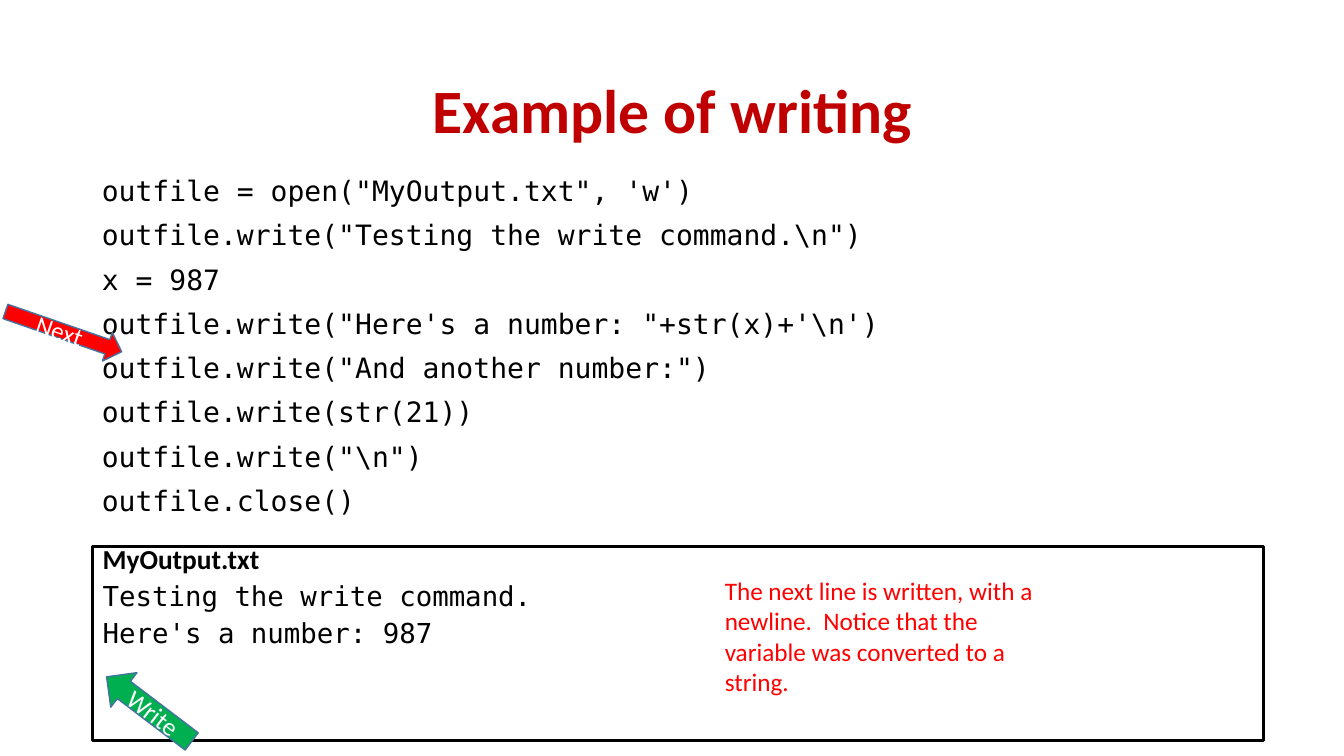
"""Build a slide that steps through writing lines to a text file."""
from pptx import Presentation
from pptx.dml.color import RGBColor
from pptx.enum.shapes import MSO_SHAPE as SHAPE
from pptx.enum.text import MSO_ANCHOR as ANCHOR, MSO_AUTO_SIZE as FIT, PP_ALIGN as ALIGN
from pptx.util import Inches, Pt

SANS, MONO = "Calibri", "DejaVu Sans Mono"
TITLE = "Example of writing"
CODE = [
    "outfile = open(\"MyOutput.txt\", 'w')",
    'outfile.write("Testing the write command.\\n")',
    "x = 987",
    "outfile.write(\"Here's a number: \"+str(x)+'\\n')",
    'outfile.write("And another number:")',
    "outfile.write(str(21))",
    'outfile.write("\\n")',
    "outfile.close()",
]
FILE_NAME = "MyOutput.txt"
FILE_LINES = ["Testing the write command.", "Here's a number: 987"]
NOTE = ("The next line is written, with a newline.  "
        "Notice that the variable was converted to a string.")
ARROWS = [
    ("Next", (0.02, 3.14, 1.22, 0.3), 19.1, False, "FF0000"),
    ("Write", (0.95, 6.82, 1.06, 0.43), 37.2, True, "00B050"),
]


def color(value):
    return RGBColor.from_string(value)


def place(sp, box):
    sp.left, sp.top, sp.width, sp.height = map(Inches, box)


def write(sp, lines, size, font, ink, bold=False, align=ALIGN.LEFT,
          anchor=ANCHOR.TOP, spacing=1.0, before=0):
    tf = sp.text_frame
    tf.text = "\n".join(lines)
    tf.word_wrap, tf.auto_size, tf.vertical_anchor = True, FIT.NONE, anchor
    for p in tf.paragraphs:
        p.alignment, p.line_spacing, p.space_before = align, spacing, Pt(before)
        for r in p.runs:
            r.font.size, r.font.name, r.font.bold = Pt(size), font, bold
            r.font.color.rgb = color(ink)
    return tf


def add_shape(kind, box, line, width, fill=None):
    sp = s.shapes.add_shape(kind, *map(Inches, box))
    sp.shadow.inherit = False
    sp.line.color.rgb, sp.line.width = color(line), Pt(width)
    if fill:
        sp.fill.solid()
        sp.fill.fore_color.rgb = color(fill)
    else:
        sp.fill.background()
    return sp


def add_arrow(label, box, angle, flipped, fill):
    sp = add_shape(SHAPE.RIGHT_ARROW, box, "43739E", 1, fill)
    sp.rotation = angle
    if flipped:
        sp.element.spPr.xfrm.set("flipH", "1")
    write(sp, [label], 18, SANS, "FFFFFF", align=ALIGN.CENTER, anchor=ANCHOR.MIDDLE)


prs = Presentation()
prs.slide_width, prs.slide_height = Inches(13.33), Inches(7.5)
s = prs.slides.add_slide(prs.slide_layouts[1])
title, body = s.placeholders

place(title, (0.92, 0.4, 11.5, 1.45))
write(title, [TITLE], 44, SANS, "C00000", True, ALIGN.CENTER, ANCHOR.MIDDLE, 0.9)

place(body, (0.91, 1.71, 11.5, 3.56))
for p in write(body, CODE, 20, MONO, "000000", spacing=0.9, before=10).paragraphs:
    pPr = p._p.get_or_add_pPr()
    pPr.set("marL", "0")
    pPr.set("indent", "0")
    pPr.add_child = pPr.makeelement(
        "{http://schemas.openxmlformats.org/drawingml/2006/main}buNone", {})
    pPr.append(pPr.add_child)

output = add_shape(SHAPE.RECTANGLE, (0.92, 5.42, 11.61, 1.93), "000000", 2)
tf = write(output, [FILE_NAME, *FILE_LINES], 19.6, MONO, "000000", spacing=0.7, before=10)
heading = tf.paragraphs[0].runs[0].font
heading.name, heading.bold = SANS, True

add_arrow(*ARROWS[0])
note = s.shapes.add_textbox(*map(Inches, (7.09, 5.66, 3.5, 1.31)))
write(note, [NOTE], 18, SANS, "FF0000")
add_arrow(*ARROWS[1])

prs.save("out.pptx")
